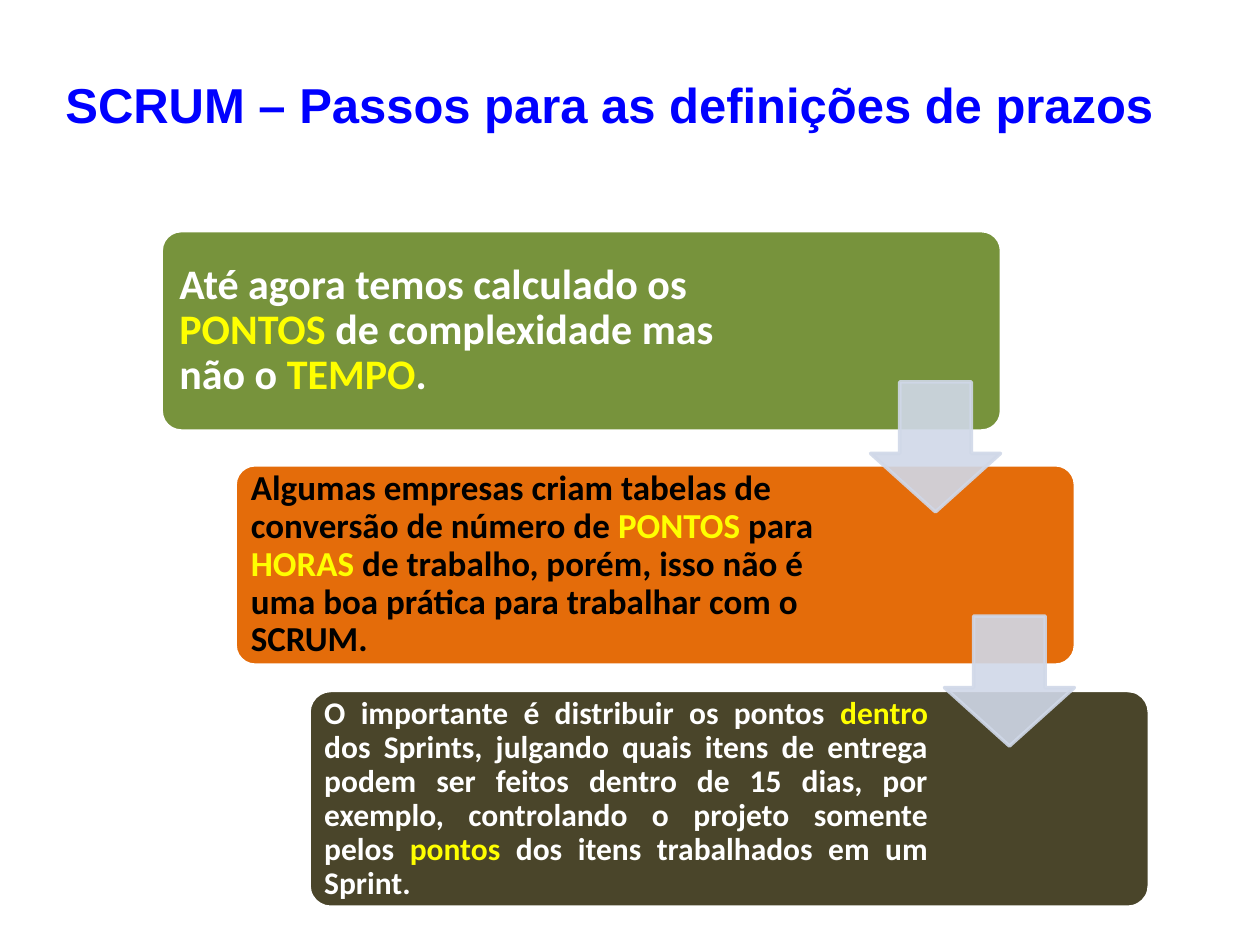
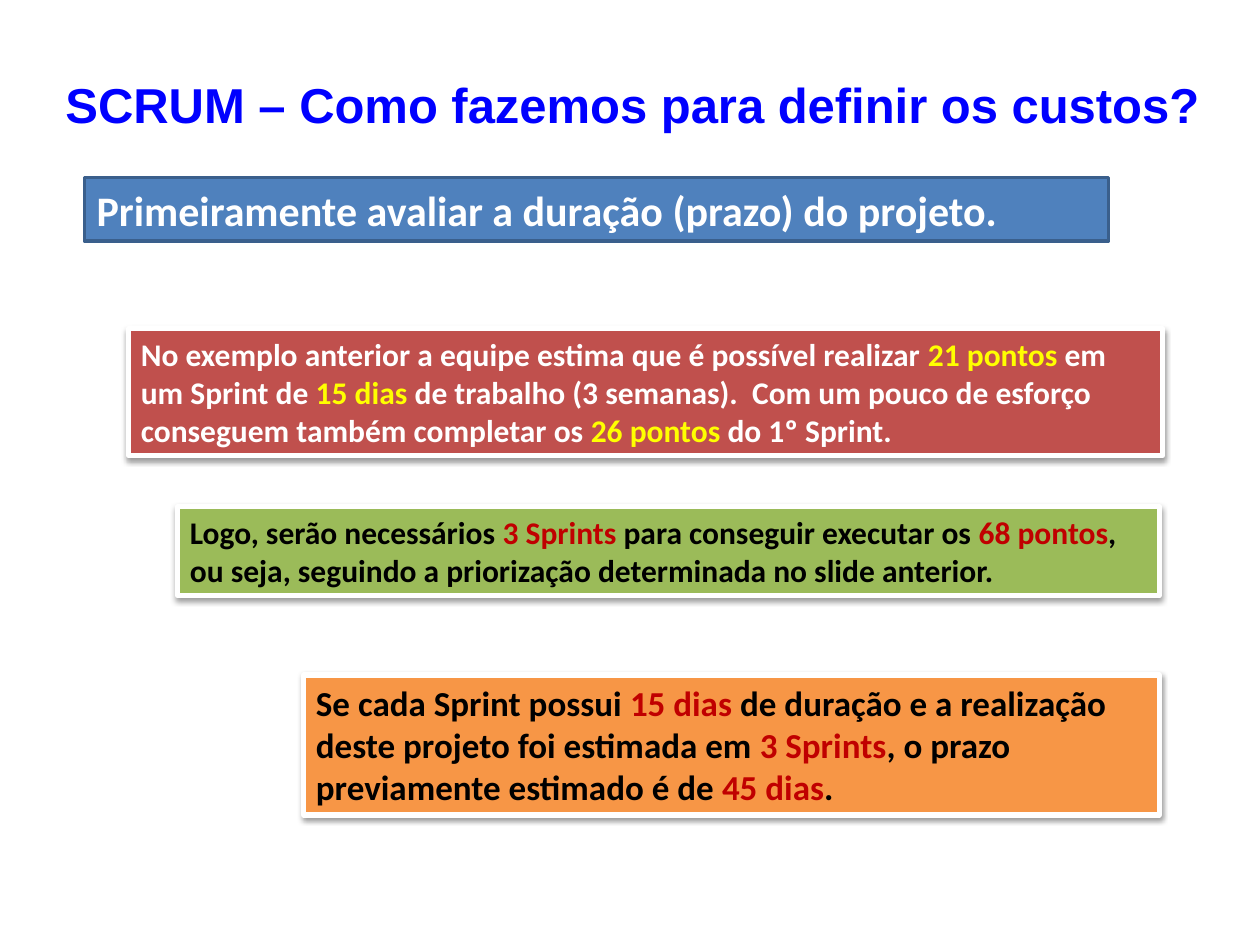
from dataclasses import dataclass

from lxml import etree
from pptx import Presentation
from pptx import util as u
from pptx.dml.color import RGBColor
from pptx.enum import shapes, text
from pptx.oxml.ns import qn


@dataclass(frozen=True)
class Theme:
    title_font: str = "Arial"
    body_font: str = "Calibri"
    title_size: int = 28
    lead_size: int = 24
    large_size: int = 20
    body_size: int = 18
    title: str = "0000FF"
    white: str = "FFFFFF"
    black: str = "000000"
    yellow: str = "FFFF00"
    dark_red: str = "C00000"
    olive: str = "77933C"
    pumpkin: str = "E46C0A"
    umber: str = "4A452A"
    arrow: str = "D0D8E8"
    blue: str = "4F81BD"
    blue_edge: str = "3A5F8C"
    red: str = "C0504D"
    green: str = "9BBB59"
    orange: str = "F79646"


T = Theme()
LEFT, JUSTIFY = text.PP_ALIGN.LEFT, text.PP_ALIGN.JUSTIFY


@dataclass(frozen=True)
class Step:
    words: str
    top: float
    height: float
    fill: str
    size: int
    inset: float
    color: str = T.white
    align: text.PP_ALIGN = LEFT


@dataclass(frozen=True)
class Note:
    words: str
    left: float
    top: float
    width: float
    height: float
    fill: str
    size: int
    color: str
    accent: str
    edge: str = T.white
    edge_width: float = 3
    shadow: bool = True


STEP_LEFT, STEP_SHIFT, STEP_WIDTH = 3.25, 1.49, 16.94
STEP_TEXT_MARGIN = 4.15
ARROW_SIZE, ARROW_DX, ARROW_DY = 2.62, 14.3, 3.05

STEPS = [
    Step("Até agora temos calculado os *PONTOS* de complexidade mas não o *TEMPO*.",
         4.65, 4.04, T.olive, T.lead_size, 0.25),
    Step("Algumas empresas criam tabelas de conversão de número de *PONTOS* para *HORAS* "
         "de trabalho, porém, isso não é uma boa prática para trabalhar com o SCRUM.",
         9.37, 4.04, T.pumpkin, T.large_size, 0.2, color=T.black),
    Step("O importante é distribuir os pontos *dentro* dos Sprints, julgando quais itens "
         "de entrega podem ser feitos dentro de 15 dias, por exemplo, controlando o projeto "
         "somente pelos *pontos* dos itens trabalhados em um Sprint.",
         13.92, 4.37, T.umber, T.body_size, 0.18, align=JUSTIFY),
]

NOTES = [
    Note("Primeiramente avaliar a duração (prazo) do projeto.",
         1.7, 3.58, 20.65, 1.28, T.blue, T.lead_size, T.white, T.yellow,
         edge=T.blue_edge, edge_width=2, shadow=False),
    Note("No exemplo anterior a equipe estima que é possível realizar *21 pontos* em um "
         "Sprint de *15 dias* de trabalho (3 semanas).  Com um pouco de esforço conseguem "
         "também completar os *26 pontos* do 1º Sprint.",
         2.59, 6.63, 20.85, 2.56, T.red, T.body_size, T.white, T.yellow),
    Note("Logo, serão necessários *3 Sprints* para conseguir executar os *68 pontos*, "
         "ou seja, seguindo a priorização determinada no slide anterior.",
         3.58, 10.21, 19.79, 1.8, T.green, T.body_size, T.black, T.dark_red),
    Note("Se cada Sprint possui *15 dias* de duração e a realização deste projeto foi "
         "estimada em *3 Sprints*, o prazo previamente estimado é de *45 dias*.",
         6.12, 13.61, 17.25, 2.82, T.orange, T.large_size, T.black, T.dark_red),
]


def write(sp, words: str, *, size: int, color: str, accent: str = T.yellow,
          font: str = T.body_font, align=LEFT, anchor=text.MSO_ANCHOR.TOP,
          spacing: float = 1.0, insets: tuple = (0.25, 0.13, 0.25, 0.13),
          grow: bool = False) -> None:
    tf = sp.text_frame
    tf.word_wrap = True
    tf.auto_size = text.MSO_AUTO_SIZE.SHAPE_TO_FIT_TEXT if grow else text.MSO_AUTO_SIZE.NONE
    tf.vertical_anchor = anchor
    tf.margin_left, tf.margin_top, tf.margin_right, tf.margin_bottom = map(u.Cm, insets)
    p = tf.paragraphs[0]
    p.alignment = align
    p.line_spacing = spacing
    for i, part in enumerate(words.split("*")):
        r = p.add_run()
        r.text = part
        r.font.name, r.font.size, r.font.bold = font, u.Pt(size), True
        r.font.color.rgb = RGBColor.from_string(accent if i % 2 else color)


def add_block(s, kind, left: float, top: float, width: float, height: float,
              fill: str, edge: str, edge_width: float = 2):
    sp = s.shapes.add_shape(kind, *map(u.Cm, (left, top, width, height)))
    sp.shadow.inherit = False
    sp.fill.solid()
    sp.fill.fore_color.rgb = RGBColor.from_string(fill)
    sp.line.color.rgb = RGBColor.from_string(edge)
    sp.line.width = u.Pt(edge_width)
    return sp


def add_alpha(color, percent: int) -> None:
    etree.SubElement(color, qn("a:alpha")).set("val", str(percent * 1000))


def add_shadow(sp) -> None:
    effects = sp._element.spPr.find(qn("a:effectLst"))
    shadow = etree.SubElement(effects, qn("a:outerShdw"), blurRad="40000", dist="20000",
                              dir="5400000", rotWithShape="0")
    add_alpha(etree.SubElement(shadow, qn("a:srgbClr"), val=T.black), 38)


def add_arrow(s, left: float, top: float) -> None:
    sp = add_block(s, shapes.MSO_SHAPE.DOWN_ARROW, left, top, ARROW_SIZE, ARROW_SIZE,
                   T.arrow, T.arrow)
    sp.adjustments[0], sp.adjustments[1] = 0.55, 0.45
    for color in sp._element.spPr.iter(qn("a:srgbClr")):
        add_alpha(color, 90)


def add_step(s, step: Step, left: float) -> None:
    sp = add_block(s, shapes.MSO_SHAPE.ROUNDED_RECTANGLE, left, step.top, STEP_WIDTH,
                   step.height, step.fill, T.white)
    sp.adjustments[0] = 0.1
    inset = step.inset
    write(sp, step.words, size=step.size, color=step.color, align=step.align,
          anchor=text.MSO_ANCHOR.MIDDLE, spacing=0.9,
          insets=(inset, inset, STEP_TEXT_MARGIN + inset, inset))


def add_note(s, note: Note) -> None:
    sp = add_block(s, shapes.MSO_SHAPE.RECTANGLE, note.left, note.top, note.width,
                   note.height, note.fill, note.edge, note.edge_width)
    if note.shadow:
        add_shadow(sp)
    write(sp, note.words, size=note.size, color=note.color, accent=note.accent, grow=True)


def add_titled_slide(prs, title: str):
    s = prs.slides.add_slide(prs.slide_layouts[6])
    sp = s.shapes.add_textbox(*map(u.Cm, (1.07, 1.37, 23.62, 2.24)))
    write(sp, title, size=T.title_size, color=T.title, font=T.title_font, grow=True)
    return s


def main() -> None:
    prs = Presentation()
    prs.slide_width, prs.slide_height = u.Cm(25.4), u.Cm(19.05)

    s = add_titled_slide(prs, "SCRUM – Passos para as definições de prazos")
    lefts = [STEP_LEFT + i * STEP_SHIFT for i in range(len(STEPS))]
    for step, left in zip(STEPS, lefts):
        add_step(s, step, left)
    for step, left in zip(STEPS[:-1], lefts):
        add_arrow(s, left + ARROW_DX, step.top + ARROW_DY)

    s = add_titled_slide(prs, "SCRUM – Como fazemos para definir os custos?")
    for note in NOTES:
        add_note(s, note)

    prs.save("out.pptx")


if __name__ == "__main__":
    main()
